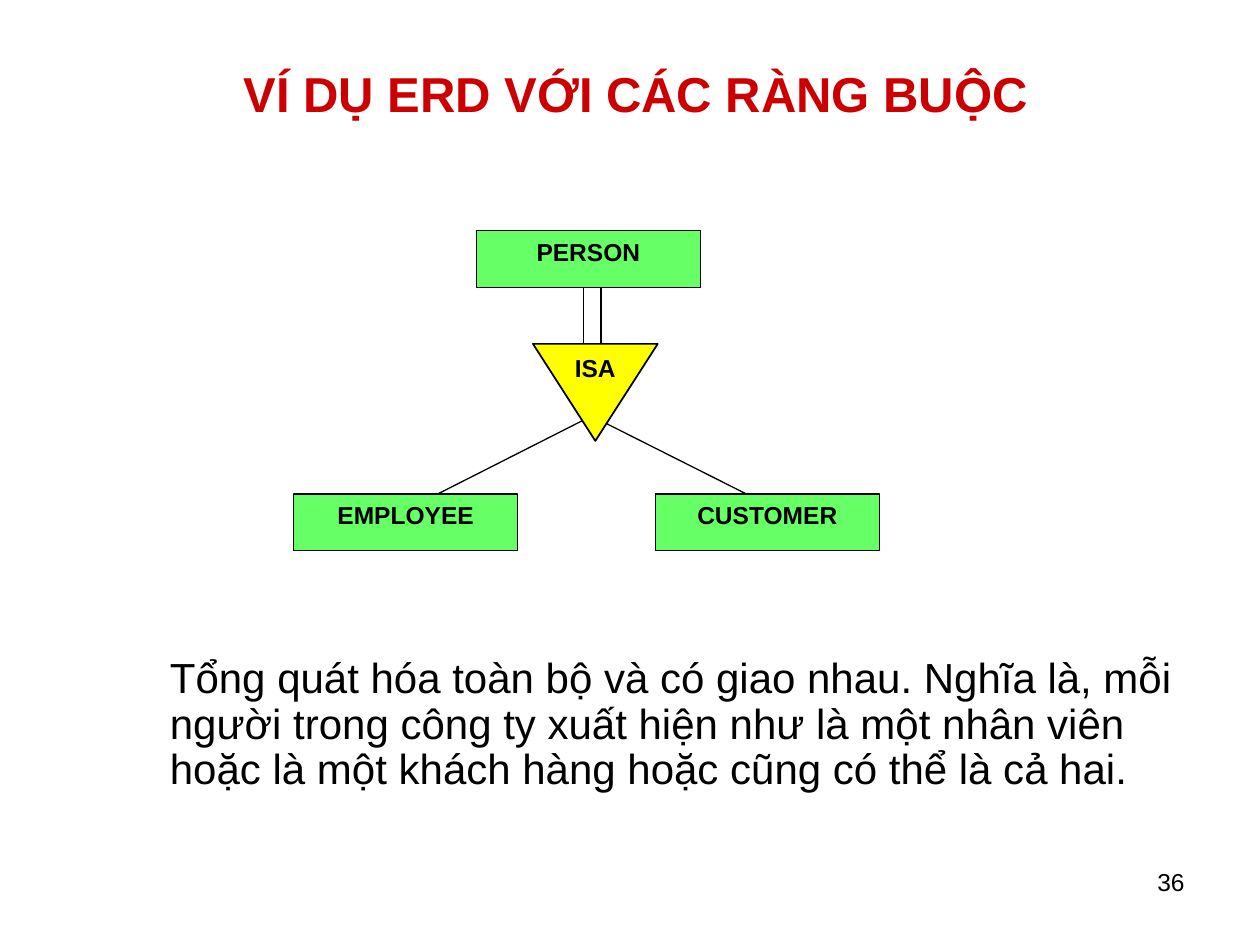
from lxml.etree import SubElement
from pptx import Presentation
from pptx.dml.color import RGBColor
from pptx.enum.shapes import MSO_CONNECTOR, MSO_SHAPE
from pptx.enum.text import MSO_ANCHOR, PP_ALIGN
from pptx.oxml.ns import qn
from pptx.util import Inches, Pt

RED = RGBColor(0xCC, 0x00, 0x00)
GREEN = RGBColor(0x66, 0xFF, 0x66)
YELLOW = RGBColor(0xFF, 0xFF, 0x00)
BLACK = RGBColor(0x00, 0x00, 0x00)

TITLE = "VÍ DỤ ERD VỚI CÁC RÀNG BUỘC"
BODY = ("Tổng quát hóa toàn bộ và có giao nhau. Nghĩa là, mỗi người trong công ty "
        "xuất hiện như là một nhân viên hoặc là một khách hàng hoặc cũng có thể là cả hai.")
PAGE = "36"
ENTITIES = [("PERSON", 3.78, 1.83), ("CUSTOMER", 5.2, 3.92), ("EMPLOYEE", 2.33, 3.92)]
LINKS = [
    (4.63, 2.28, 4.63, 2.73),
    (4.77, 2.28, 4.77, 2.73),
    (4.62, 3.34, 3.14, 4.09),
    (4.77, 3.34, 6.26, 4.09),
]


def write(frame, text, size, align, bold=False, color=BLACK):
    frame.text = text
    para = frame.paragraphs[0]
    para.alignment = align
    font = para.runs[0].font
    font.name = "Arial"
    font.size = Pt(size)
    font.bold = bold
    font.color.rgb = color
    return para


def add_text(slide, box, *style):
    frame = slide.shapes.add_textbox(*map(Inches, box)).text_frame
    frame.word_wrap = True
    return write(frame, *style), frame


def add_link(slide, ends):
    link = slide.shapes.add_connector(MSO_CONNECTOR.STRAIGHT, *map(Inches, ends))
    link.line.color.rgb = BLACK
    link.line.width = Pt(0.75)
    SubElement(link._element.spPr, qn("a:effectLst"))


def add_node(slide, kind, box, text, fill, width, anchor):
    node = slide.shapes.add_shape(kind, *map(Inches, box))
    node.shadow.inherit = False
    node.fill.solid()
    node.fill.fore_color.rgb = fill
    node.line.color.rgb = BLACK
    node.line.width = Pt(width)
    node.text_frame.vertical_anchor = anchor
    write(node.text_frame, text, 14, PP_ALIGN.CENTER, True)
    return node


def main():
    deck = Presentation()
    deck.slide_width, deck.slide_height = Inches(10), Inches(7.5)
    slide = deck.slides.add_slide(deck.slide_layouts[6])

    para, frame = add_text(slide, (0.17, 0.08, 9.75, 1.25), TITLE, 28,
                           PP_ALIGN.CENTER, True, RED)
    para.line_spacing = 1.15
    frame.vertical_anchor = MSO_ANCHOR.MIDDLE

    para, frame = add_text(slide, (0.58, 5.17, 9.08, 1.5), BODY, 24, PP_ALIGN.LEFT)
    para.line_spacing = 0.9
    para._p.get_or_add_pPr().set("marL", str(Inches(0.67)))

    for ends in LINKS:
        add_link(slide, ends)
    for name, left, top in ENTITIES:
        add_node(slide, MSO_SHAPE.RECTANGLE, (left, top, 1.78, 0.45), name,
                 GREEN, 0.75, MSO_ANCHOR.TOP)

    isa = add_node(slide, MSO_SHAPE.ISOSCELES_TRIANGLE, (4.23, 2.73, 0.99, 0.77),
                   "ISA", YELLOW, 1, MSO_ANCHOR.MIDDLE)
    isa.text_frame.word_wrap = False
    isa._element.spPr.xfrm.set("flipV", "1")
    isa.text_frame._txBody.bodyPr.set("rot", "10800000")

    add_text(slide, (7.17, 6.83, 2.33, 0.52), PAGE, 14, PP_ALIGN.RIGHT)
    deck.save("out.pptx")


if __name__ == "__main__":
    main()
